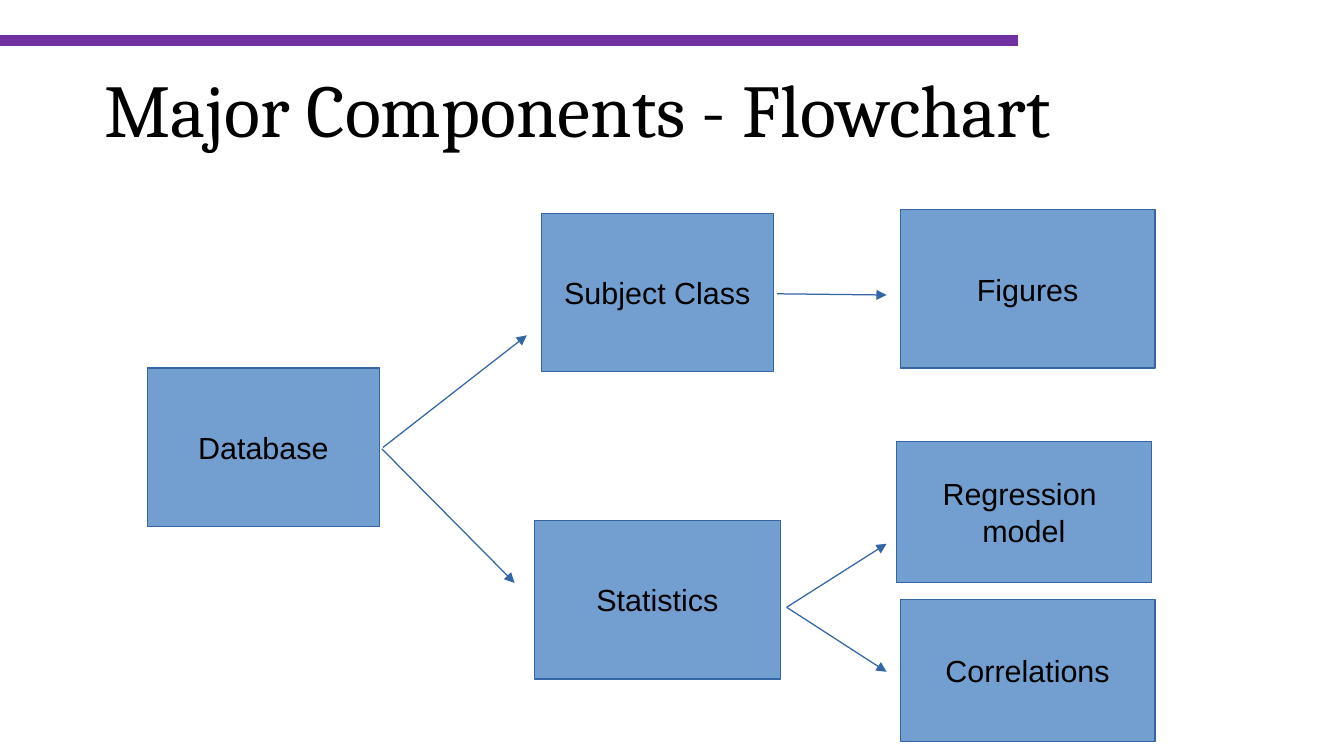
"""Build the flowchart slide of the major components."""
from dataclasses import dataclass

from pptx import Presentation
from pptx.dml.color import RGBColor
from pptx.enum.shapes import MSO_CONNECTOR as Connector, MSO_SHAPE as Shape
from pptx.enum.text import MSO_ANCHOR as Anchor, PP_ALIGN as Align
from pptx.oxml.ns import qn
from pptx.slide import Slide
from pptx.util import Pt
from lxml.etree import SubElement

COLORS = {"bar": "7030A0", "box": "729FCF", "outline": "3465A4", "text": "000000"}
BOX_HEIGHT = 93.6
LOW_BOX_HEIGHT = 83.5
OUTPUT_WIDTH = 150.5
ARROW_END = 523.4
STATISTICS_EXIT = (464.4, 358.6)


@dataclass
class Box:
    text: str
    left: float
    top: float
    width: float
    height: float = BOX_HEIGHT


@dataclass
class Line:
    start: tuple[float, float]
    end: tuple[float, float]
    color: str = "outline"
    width: float = 0.75
    arrow: bool = True


BOXES = [
    Box("Database", 87.1, 217.4, 136.8),
    Box("Subject Class", 319.7, 126, 136.8),
    Box("Statistics", 315.4, 307.4, 145.4),
    Box("Figures", 531.4, 123.8, OUTPUT_WIDTH),
    Box("Regression \nmodel", 529.2, 260.6, OUTPUT_WIDTH, LOW_BOX_HEIGHT),
    Box("Correlations", 531.4, 354.2, OUTPUT_WIDTH, LOW_BOX_HEIGHT),
]
LINES = [
    Line((601.2, 23.9), (0, 23.9), "bar", 6, False),
    Line((226.1, 264.2), (311, 198)),
    Line((225.4, 265), (303.8, 344.2)),
    Line((458.6, 173.5), (ARROW_END, 174.2)),
    Line(STATISTICS_EXIT, (ARROW_END, 321.1)),
    Line(STATISTICS_EXIT, (ARROW_END, 396.7)),
]


def color(name: str) -> RGBColor:
    return RGBColor.from_string(COLORS[name])


def set_font(paragraph, name: str, size: float) -> None:
    paragraph.font.name = name
    paragraph.font.size = Pt(size)
    paragraph.font.color.rgb = color("text")


def draw_title(slide: Slide, text: str) -> None:
    shape = slide.shapes.add_textbox(Pt(54.7), Pt(23.8), Pt(684.7), Pt(86.4))
    frame = shape.text_frame
    frame.word_wrap = True
    frame.vertical_anchor = Anchor.MIDDLE
    frame.text = text
    paragraph = frame.paragraphs[0]
    paragraph.line_spacing = 0.9
    set_font(paragraph, "Cambria", 44)


def draw_box(slide: Slide, box: Box) -> None:
    shape = slide.shapes.add_shape(
        Shape.RECTANGLE, Pt(box.left), Pt(box.top), Pt(box.width), Pt(box.height)
    )
    shape.shadow.inherit = False
    shape.fill.solid()
    shape.fill.fore_color.rgb = color("box")
    shape.line.color.rgb = color("outline")
    shape.line.width = Pt(0.75)
    frame = shape.text_frame
    frame.word_wrap = False
    frame.vertical_anchor = Anchor.MIDDLE
    frame.text = box.text
    for paragraph in frame.paragraphs:
        paragraph.alignment = Align.CENTER
        set_font(paragraph, "Arial", 18)


def draw_line(slide: Slide, line: Line) -> None:
    connector = slide.shapes.add_connector(
        Connector.STRAIGHT, *(Pt(value) for value in line.start + line.end)
    )
    connector.line.color.rgb = color(line.color)
    connector.line.width = Pt(line.width)
    properties = connector._element.spPr
    if line.arrow:
        SubElement(properties.find(qn("a:ln")), qn("a:tailEnd"), type="triangle")
    SubElement(properties, qn("a:effectLst"))


def main() -> None:
    presentation = Presentation()
    presentation.slide_width = Pt(793.44)
    presentation.slide_height = Pt(446.4)
    slide = presentation.slides.add_slide(presentation.slide_layouts[6])
    draw_title(slide, "Major Components - Flowchart")
    for box in BOXES:
        draw_box(slide, box)
    for line in LINES:
        draw_line(slide, line)
    presentation.save("out.pptx")


if __name__ == "__main__":
    main()
